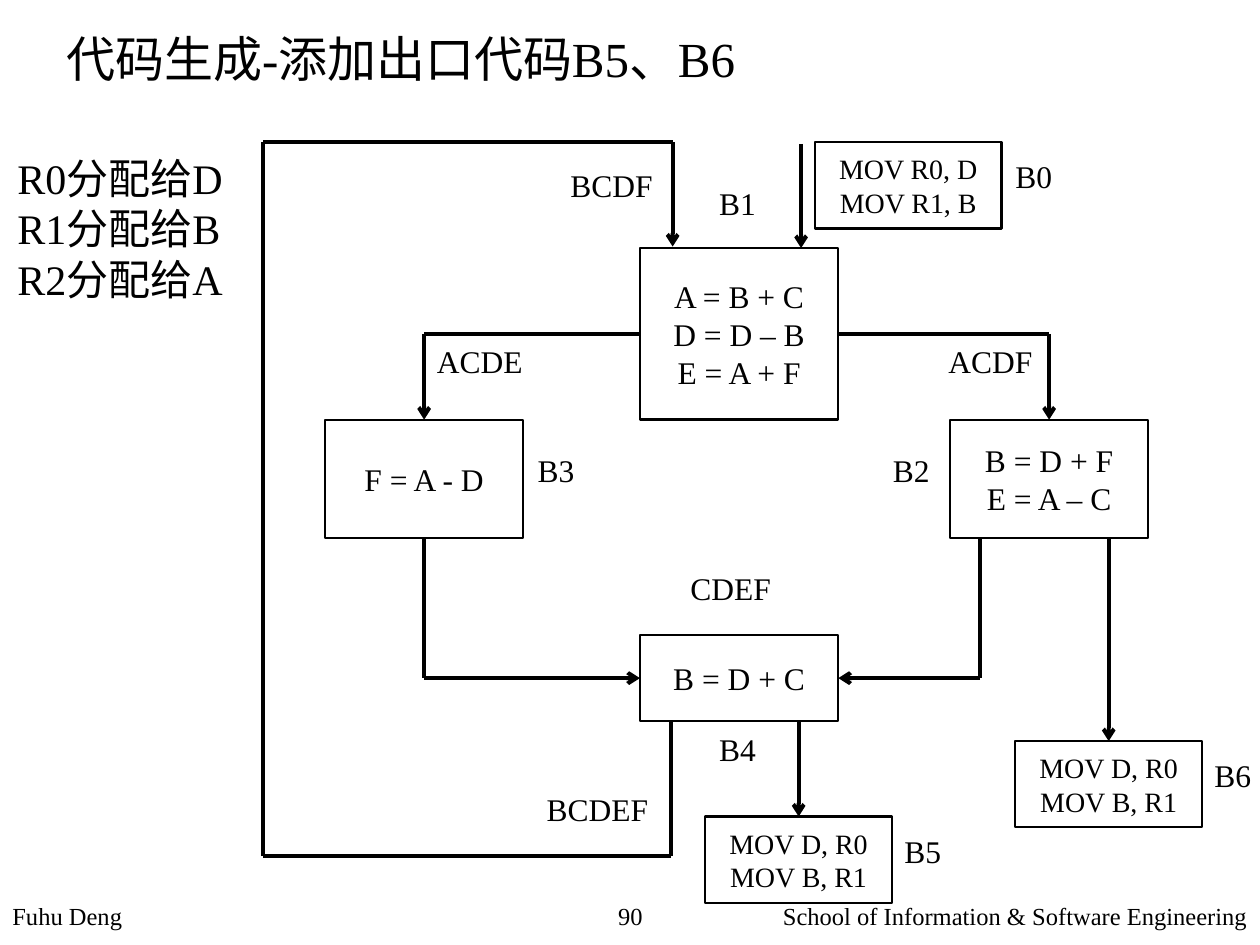
import pptx
import pptx.util
import pptx.dml.color
import pptx.enum.shapes
import pptx.enum.text
import pptx.oxml
import pptx.oxml.ns
from pptx.util import Cm

LATIN, CJK = "Times New Roman", "Noto Sans CJK SC"
BLACK = "000000"
ALIGN = pptx.enum.text.PP_ALIGN
TOP, LEFT, BOTTOM, RIGHT = range(4)

BLOCKS = {
    "B1": (12.9, 5, 4, 3.46, 18, ["A = B + C", "D = D – B", "E = A + F"]),
    "B2": (19.15, 8.46, 4, 2.38, 18, ["B = D + F", "E = A – C"]),
    "B3": (6.55, 8.46, 4, 2.38, 18, ["F = A - D"]),
    "B4": (12.9, 12.8, 4, 1.74, 18, ["B = D + C"]),
    "B0": (16.43, 2.87, 3.76, 1.74, 16, ["MOV R0, D", "MOV R1, B"]),
    "B5": (14.22, 16.46, 3.76, 1.74, 16, ["MOV D, R0", "MOV B, R1"]),
    "B6": (20.47, 14.94, 3.76, 1.74, 16, ["MOV D, R0", "MOV B, R1"]),
}
ROUTES = [
    [("B1", LEFT), (8.55, 6.73), ("B3", TOP)],
    [("B1", RIGHT), (21.15, 6.73), ("B2", TOP)],
    [("B3", BOTTOM), (8.55, 13.67), ("B4", LEFT)],
    [(19.76, 10.84), (19.76, 13.67), ("B4", RIGHT)],
    [(22.35, 10.84), ("B6", TOP)],
    [(16.1, 14.54), ("B5", TOP)],
    [(13.53, 14.54), (13.53, 17.25), (5.31, 17.25), (5.31, 2.87),
     (13.56, 2.87), (13.56, 4.97)],
    [(16.15, 2.9), (16.15, 5)],
]
LABELS = [
    ("BCDEF", 10.77, 15.8, 2.59), ("CDEF", 13.67, 11.35, 2.16),
    ("ACDE", 8.56, 6.78, 2.26), ("ACDF", 18.87, 6.78, 2.24),
    ("BCDF", 11.25, 3.23, 2.18), ("B0", 20.22, 3.05, 1.27),
    ("B1", 14.25, 3.58, 1.27), ("B2", 17.75, 8.97, 1.27),
    ("B3", 10.59, 8.97, 1.27), ("B4", 14.25, 14.6, 1.27),
    ("B5", 17.98, 16.64, 1.27), ("B6", 24.23, 15.11, 1.27),
]
TEXTS = [
    (["代码生成-添加出口代码B5、B6"], 1.09, 0.46, 18.19, 1.85, 28, ALIGN.LEFT),
    (["R0分配给D", "R1分配给B", "R2分配给A"], 0.1, 2.95, 4.7, 3.33, 24, ALIGN.LEFT),
    (["Fuhu Deng"], 0, 18.03, 11.91, 1.02, 14, ALIGN.LEFT),
    (["90"], 11.91, 18.03, 1.6, 1.02, 14, ALIGN.CENTER),
    (["School of Information & Software Engineering"],
     13.49, 18.03, 11.91, 1.02, 14, ALIGN.RIGHT),
]


def color(value):
    return pptx.dml.color.RGBColor.from_string(value)


def write(sp, lines, size, align, wrap=True):
    tf = sp.text_frame
    tf.word_wrap = wrap
    tf.text = "\n".join(lines)
    for p in tf.paragraphs:
        p.alignment = align
        for r in p.runs:
            r.font.size = pptx.util.Pt(size)
            r.font.name = LATIN
            r.font.color.rgb = color(BLACK)
            ea = pptx.oxml.ns.qn("a:ea")
            r.font._element.makeelement(ea)
            pptx.oxml.parse_xml
            latin = r.font._element.find(pptx.oxml.ns.qn("a:latin"))
            latin.addnext(latin.makeelement(ea, {"typeface": CJK}))


def add_text(s, lines, x, y, w, h, size, align, wrap=True):
    sp = s.shapes.add_textbox(Cm(x), Cm(y), Cm(w), Cm(h))
    write(sp, lines, size, align, wrap)


def add_block(s, x, y, w, h, size, lines):
    sp = s.shapes.add_shape(pptx.enum.shapes.MSO_SHAPE.RECTANGLE,
                            Cm(x), Cm(y), Cm(w), Cm(h))
    sp.shadow.inherit = False
    sp.fill.background()
    sp.line.color.rgb = color(BLACK)
    sp.line.width = pptx.util.Pt(1.25)
    sp.text_frame.vertical_anchor = pptx.enum.text.MSO_ANCHOR.MIDDLE
    write(sp, lines, size, ALIGN.CENTER)
    return sp


def position(stop):
    if stop[0] not in BLOCKS:
        return stop
    x, y, w, h = BLOCKS[stop[0]][:4]
    return [(x + w / 2, y), (x, y + h / 2),
            (x + w / 2, y + h), (x + w, y + h / 2)][stop[1]]


def add_route(s, stops, blocks):
    for start, end in zip(stops, stops[1:]):
        ends = [Cm(v) for v in (*position(start), *position(end))]
        c = s.shapes.add_connector(pptx.enum.shapes.MSO_CONNECTOR.STRAIGHT, *ends)
        if start[0] in blocks:
            c.begin_connect(blocks[start[0]], start[1])
        if end[0] in blocks:
            c.end_connect(blocks[end[0]], end[1])
        c.line.color.rgb = color(BLACK)
        c.line.width = pptx.util.Pt(2.25)
        pr = c._element.spPr
        pr.append(pr.makeelement(pptx.oxml.ns.qn("a:effectLst")))
    ln = c.line._get_or_add_ln()
    ln.append(ln.makeelement(pptx.oxml.ns.qn("a:tailEnd"), {"type": "arrow"}))


def main():
    prs = pptx.Presentation()
    prs.slide_width, prs.slide_height = Cm(25.4), Cm(19.05)
    s = prs.slides.add_slide(prs.slide_layouts[6])
    blocks = {name: add_block(s, *block) for name, block in BLOCKS.items()}
    for stops in ROUTES:
        add_route(s, stops, blocks)
    for label, x, y, w in LABELS:
        add_text(s, [label], x, y, w, 1.02, 18, ALIGN.LEFT, wrap=False)
    for text in TEXTS:
        add_text(s, *text)
    prs.save("out.pptx")


if __name__ == "__main__":
    main()
